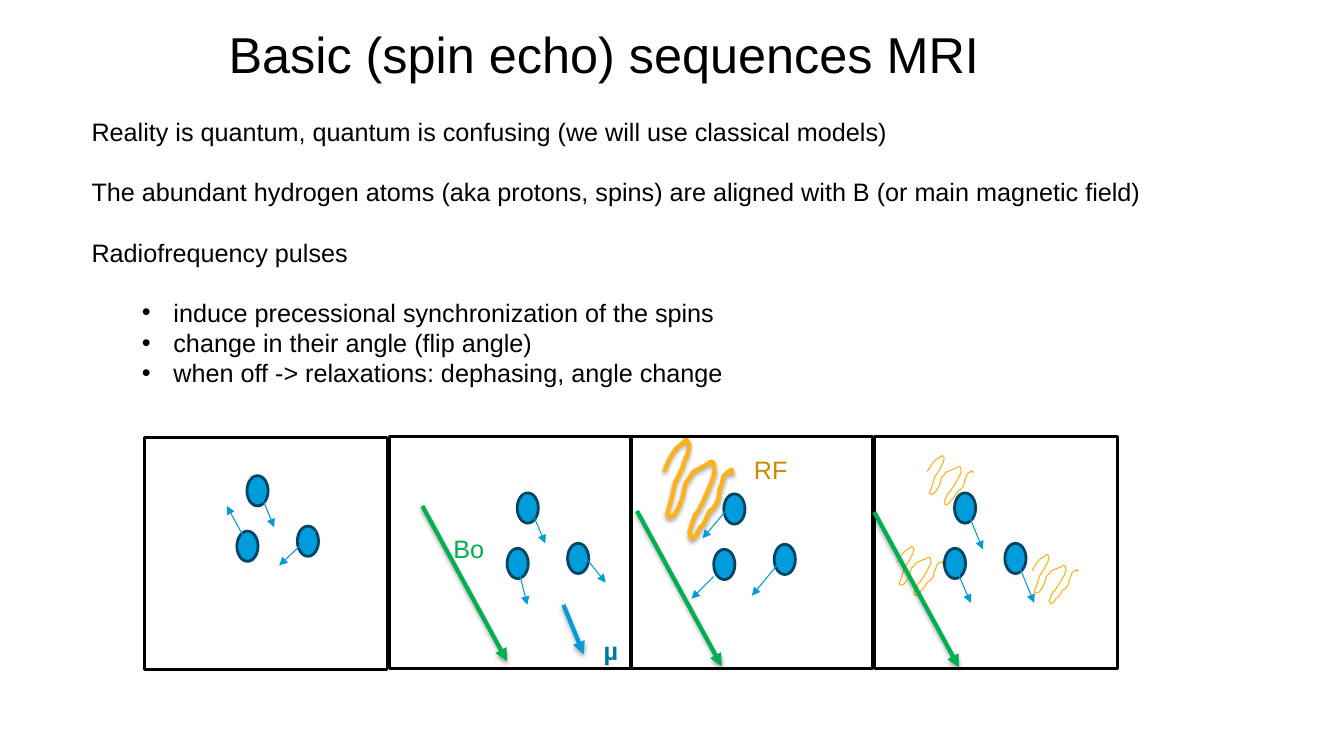
from lxml import etree
from pptx import Presentation
from pptx.dml.color import RGBColor
from pptx.enum.shapes import MSO_CONNECTOR, MSO_SHAPE
from pptx.oxml.ns import qn
from pptx.util import Pt

STRAIGHT = MSO_CONNECTOR.STRAIGHT
OVAL = MSO_SHAPE.OVAL
RECTANGLE = MSO_SHAPE.RECTANGLE

FONT = "Arial"
COLORS = {
    "black": "000000", "spin": "009DDD", "spin_edge": "004561",
    "moment": "009AD8", "mu": "0076A6", "field": "00B050",
    "pulse": "FFB213", "thin_pulse": "FFB00D", "pulse_label": "CE8A00",
}

STATEMENTS = [
    "Reality is quantum, quantum is confusing (we will use classical models)",
    "The abundant hydrogen atoms (aka protons, spins) are aligned with B (or main magnetic field)",
    "Radiofrequency pulses",
]
PULSE_EFFECTS = [
    "induce precessional synchronization of the spins",
    "change in their angle (flip angle)",
    "when off -> relaxations: dephasing, angle change",
]
LINE_PITCH = 21.5

# Outline of a radiofrequency wave in a field of 67 by 98 units
WAVE_FIELD = (67, 98)
WAVE = [
    (0, 32), (5, 20), (11, 10), (20, 2), (22, 0), (25, 5), (23, 16), (21, 19),
    (18, 29), (16, 32), (14, 37), (11, 42), (7, 60), (3, 74), (5, 77), (10, 75),
    (13, 70), (15, 66), (18, 58), (21, 44), (29, 32), (42, 25), (46, 22),
    (49, 23), (50, 33), (47, 42), (38, 63), (36, 66), (34, 71), (31, 74),
    (28, 82), (25, 92), (27, 98), (32, 95), (35, 88), (39, 84), (45, 71),
    (49, 68), (52, 63), (54, 58), (55, 49), (57, 44), (59, 36), (65, 31),
    (67, 30), (67, 35),
]

SPIN_SIZE = (15.1, 21.6)
SPIN_OFFSETS = [(0, 0), (-7.2, 39.6), (36, 36)]
FIELD_VECTOR = (60.5, 110.9)
PANEL_SIZE = (173.5, 165.6)

# Positions inside a panel are measured from its top left corner
PANELS = [
    {"at": (103, 312.5), "spins": (73.4, 27.3),
     "moments": [(78.4, 28.8, 92.8, 64.1), (122.4, 66.9, 96.4, 91.4),
                 (76.3, 80.6, 59, 48.9)]},
    {"at": (278, 311.8), "spins": (91.4, 40.3),
     "moments": [(96.4, 41, 111.5, 76.3), (133.8, 78.4, 154.7, 104.4),
                 (89.2, 82, 98.6, 120.2)],
     "net_moment": (124.5, 120.2, 138.9, 155.5), "field": (23.7, 49.6),
     "labels": [("µ", (146.1, 138.2, 30.2, 51.1), "mu", True),
                ("Bo", (38.8, 65.5, 61.2, 28.8), "field", False)]},
    {"at": (450, 311.8), "spins": (67, 41),
     "moments": [(73.4, 47.5, 51.8, 72.7), (110.9, 84.9, 87.1, 113.7),
                 (59.8, 100, 43.9, 115.9)],
     "field": (5, 53.2),
     "waves": [(24.5, 2.1, 48.2, 70.6)], "strong": True,
     "labels": [("RF", (81.4, 9.3, 39.6, 28.8), "pulse_label", False)]},
    {"at": (624.5, 311.8), "spins": (57.3, 40.3),
     "moments": [(63.1, 45.3, 77.5, 80.6), (99.8, 83.5, 114.2, 118.8),
                 (53.7, 83.5, 68.9, 118.8)],
     "field": (0, 54),
     "waves": [(112.8, 84.2, 32.4, 35.3), (37.9, 13.6, 32.4, 35.3),
               (16.3, 78.4, 32.4, 35.3)]},
]


def rgb(name):
    return RGBColor.from_string(COLORS[name])


def style_line(shape, color, width):
    shape.line.color.rgb = rgb(color)
    shape.line.width = Pt(width)


def set_shadow(shape, visible):
    """Replace the theme shadow by a soft one below, or by none."""
    properties = shape._element.spPr
    effects = etree.SubElement(properties, qn("a:effectLst"))
    if visible:
        shadow = etree.SubElement(effects, qn("a:outerShdw"), blurRad="40000",
                                  dist="23000", dir="5400000", rotWithShape="0")
        color = etree.SubElement(shadow, qn("a:srgbClr"), val=COLORS["black"])
        etree.SubElement(color, qn("a:alpha"), val="35000")


def format_runs(paragraph, size, color="black", bold=False):
    for run in paragraph.runs:
        run.font.name = FONT
        run.font.size = Pt(size)
        run.font.bold = bold
        run.font.color.rgb = rgb(color)


def add_text(slide, box, text, size, color="black", bold=False):
    text_box = slide.shapes.add_textbox(*(Pt(value) for value in box))
    text_frame = text_box.text_frame
    text_frame.word_wrap = True
    text_frame.text = text
    for paragraph in text_frame.paragraphs:
        format_runs(paragraph, size, color, bold)
    return text_frame


def add_arrow(slide, ends, color, width, shadow=False):
    arrow = slide.shapes.add_connector(STRAIGHT, *(Pt(value) for value in ends))
    style_line(arrow, color, width)
    etree.SubElement(arrow.line._ln, qn("a:tailEnd"), type="triangle")
    set_shadow(arrow, shadow)


def add_shape(slide, kind, box, fill, edge):
    shape = slide.shapes.add_shape(kind, *(Pt(value) for value in box))
    shape.shadow.inherit = False
    if fill:
        shape.fill.solid()
        shape.fill.fore_color.rgb = rgb(fill)
    else:
        shape.fill.background()
    style_line(shape, edge, 2)


def add_wave(slide, box, strong):
    left, top, width, height = box
    points = [(Pt(left + x * width / WAVE_FIELD[0]), Pt(top + y * height / WAVE_FIELD[1]))
              for x, y in WAVE]
    builder = slide.shapes.build_freeform(*points[0])
    builder.add_line_segments(points[1:], close=False)
    wave = builder.convert_to_shape()
    wave.fill.background()
    style_line(wave, "pulse" if strong else "thin_pulse", 3 if strong else 0.75)
    set_shadow(wave, strong)


def add_statements(slide, box):
    text_frame = add_text(slide, box, "\n".join(STATEMENTS + PULSE_EFFECTS), 18)
    for index, paragraph in enumerate(text_frame.paragraphs):
        paragraph.line_spacing = Pt(LINE_PITCH)
        if index < len(STATEMENTS):
            paragraph.space_after = Pt(LINE_PITCH)
            continue
        paragraph.level = 1
        properties = paragraph._p.get_or_add_pPr()
        properties.set("marL", str(Pt(58.5)))
        properties.set("indent", str(-Pt(22.5)))
        etree.SubElement(properties, qn("a:buFont"), typeface=FONT)
        etree.SubElement(properties, qn("a:buChar"), char="•")


def add_panel(slide, panel):
    left, top = panel["at"]

    def place(box):
        return (left + box[0], top + box[1], *box[2:])

    def place_ends(ends):
        return (*place(ends[:2]), *place(ends[2:]))

    # Spins and their magnetic moments
    spin_x, spin_y = panel["spins"]
    for x, y in SPIN_OFFSETS:
        add_shape(slide, OVAL, place((spin_x + x, spin_y + y, *SPIN_SIZE)), "spin", "spin_edge")
    for ends in panel["moments"]:
        add_arrow(slide, place_ends(ends), "moment", 0.75)
    if "net_moment" in panel:
        add_arrow(slide, place_ends(panel["net_moment"]), "spin", 3, shadow=True)

    # Radiofrequency waves and labels
    for box in panel.get("waves", []):
        add_wave(slide, place(box), panel.get("strong", False))
    for text, box, color, bold in panel.get("labels", []):
        add_text(slide, place(box), text, 18, color, bold)

    # Frame and main field
    add_shape(slide, RECTANGLE, (left, top, *PANEL_SIZE), None, "black")
    if "field" in panel:
        x, y = panel["field"]
        ends = (x, y, x + FIELD_VECTOR[0], y + FIELD_VECTOR[1])
        add_arrow(slide, place_ends(ends), "field", 3, shadow=True)


def main():
    presentation = Presentation()
    presentation.slide_width = Pt(960)
    presentation.slide_height = Pt(540)
    slide = presentation.slides.add_slide(presentation.slide_layouts[6])
    add_text(slide, (156.2, 13, 592.6, 51.1), "Basic (spin echo) sequences MRI", 36)
    add_statements(slide, (58.3, 79.9, 837.4, 225.4))
    for panel in PANELS:
        add_panel(slide, panel)
    presentation.save("out.pptx")


if __name__ == "__main__":
    main()
